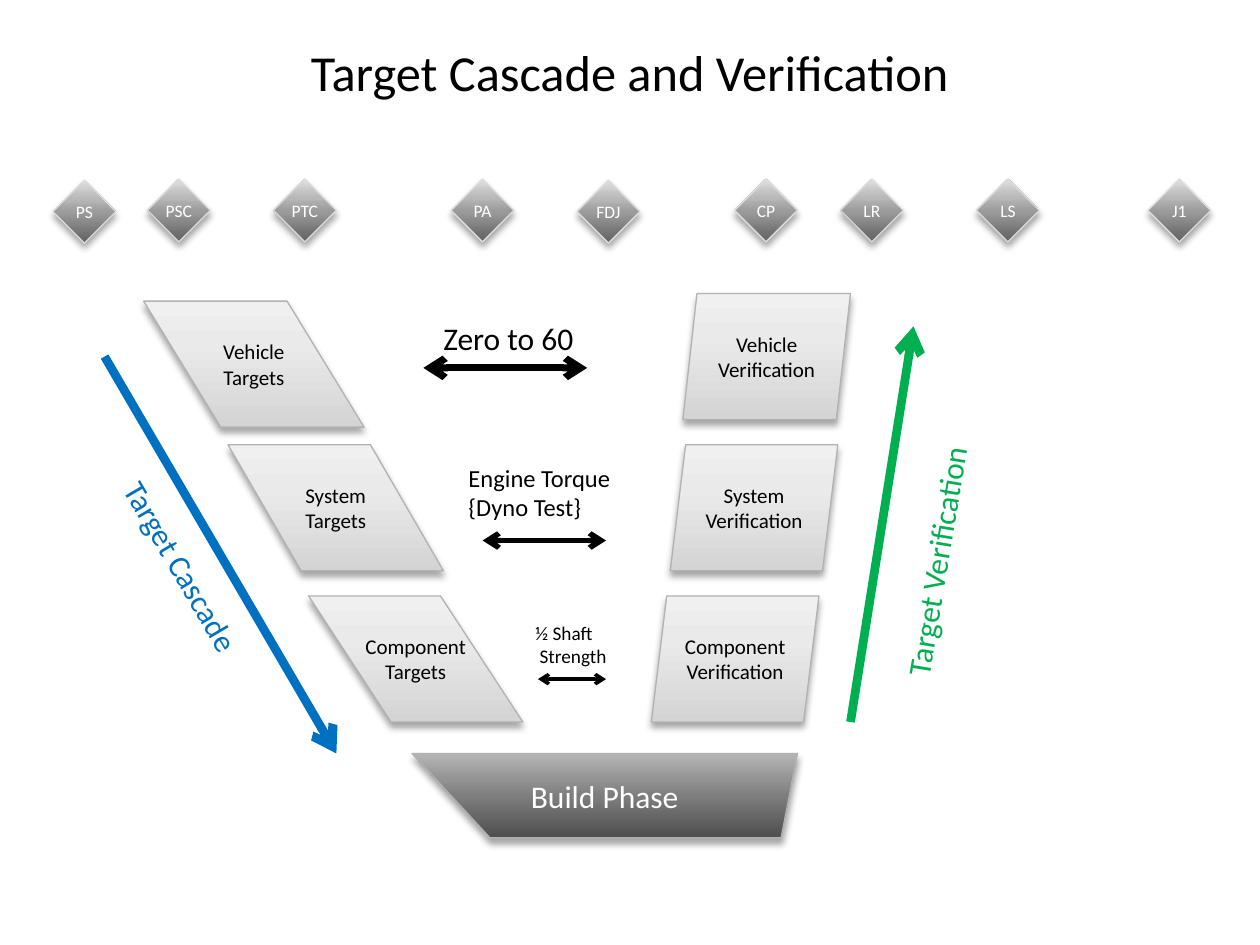
"""Build the target cascade and verification slide."""
import pptx
import pptx.dml.color
import pptx.enum.shapes
import pptx.enum.text
import pptx.oxml.ns
import pptx.util
from lxml import etree

Inches = pptx.util.Inches
Pt = pptx.util.Pt
RGBColor = pptx.dml.color.RGBColor
Shape = pptx.enum.shapes.MSO_SHAPE
Align = pptx.enum.text.PP_ALIGN
qn = pptx.oxml.ns.qn

FONT = "Calibri"
BLACK = RGBColor(0x00, 0x00, 0x00)
WHITE = RGBColor(0xFF, 0xFF, 0xFF)
BLUE = RGBColor(0x00, 0x70, 0xC0)
GREEN = RGBColor(0x00, 0xB0, 0x50)
SILVER = RGBColor(0xDD, 0xDD, 0xDD)
GRAY = RGBColor(0xB2, 0xB2, 0xB2)

GATE_STOPS = [(0, RGBColor(0x61, 0x61, 0x61)), (50, RGBColor(0x9C, 0x9C, 0x9C)),
              (70, RGBColor(0xB8, 0xB8, 0xB8)), (100, RGBColor(0xDF, 0xDF, 0xDF))]
STEP_STOPS = [(0, RGBColor(0xD4, 0xD4, 0xD4)), (65, RGBColor(0xEA, 0xEA, 0xEA)),
              (100, RGBColor(0xF0, 0xF0, 0xF0))]
BUILD_STOPS = [(0, RGBColor(0x4E, 0x4E, 0x4E)), (50, RGBColor(0x7E, 0x7E, 0x7E)),
               (70, RGBColor(0x94, 0x94, 0x94)), (100, RGBColor(0xB6, 0xB6, 0xB6))]

TITLE = "Target Cascade and Verification"
GATE_SIZE = 0.5
GATES = [("PS", 0.42, 1.43), ("PSC", 1.17, 1.42), ("PTC", 2.17, 1.42),
         ("PA", 3.58, 1.42), ("FDJ", 4.58, 1.43), ("CP", 5.83, 1.42),
         ("LR", 6.67, 1.42), ("LS", 7.75, 1.42), ("J1", 9.11, 1.42)]
STEP_HEIGHT = 1
TIGHT = (0, 0.05)
ROOMY = (0.1, 0.05)
TARGETS = [("Vehicle", 1.14, 2.39, 1.75, 0.612, ROOMY),
           ("System", 1.81, 3.53, 1.71, 0.58, ROOMY),
           ("Component", 2.45, 4.73, 1.7, 0.654, TIGHT)]
VERIFICATIONS = [("Vehicle", 5.42, 2.33, 1.33, 0.112, TIGHT),
                 ("System", 5.32, 3.53, 1.33, 0.122, TIGHT),
                 ("Component", 5.17, 4.73, 1.33, 0.122, TIGHT)]
BUILD_OUTLINE = [(3.27, 5.98), (6.33, 5.98), (6.2, 6.65), (3.89, 6.65)]
LABELS = [(["½ Shaft", " Strength"], (4.15, 4.88, 0.77, 0.47), 11, BLACK, 0),
          (["Engine Torque", "{Dyno Test}"], (3.62, 3.62, 1.34, 0.57), 14, BLACK, 0),
          (["Zero to 60"], (3.42, 2.48, 1.25, 0.4), 18, BLACK, 0),
          (["Target Cascade"], (0.58, 4.3, 1.73, 0.4), 18, BLUE, 59.6),
          (["Target Verification"], (6.4, 4.24, 2.06, 0.4), 18, GREEN, 279.3)]
ARROWS = [((4.27, 5.39), (4.81, 5.39), 2, BLACK, ("headEnd", "tailEnd")),
          ((3.83, 4.29), (4.81, 4.29), 3, BLACK, ("headEnd", "tailEnd")),
          ((3.36, 2.92), (4.66, 2.92), 4, BLACK, ("headEnd", "tailEnd")),
          ((0.83, 2.83), (2.67, 5.98), 5, BLUE, ("tailEnd",)),
          ((6.75, 5.73), (7.25, 2.59), 5, GREEN, ("tailEnd",))]


def write(shape, lines, size, color, align=Align.CENTER, insets=ROOMY, wrap=True):
    frame = shape.text_frame
    frame.word_wrap = wrap
    frame.vertical_anchor = pptx.enum.text.MSO_ANCHOR.MIDDLE
    frame.margin_left = frame.margin_right = Inches(insets[0])
    frame.margin_top = frame.margin_bottom = Inches(insets[1])
    frame.text = "\n".join(lines)
    for para in frame.paragraphs:
        para.alignment = align
        para.font.name = FONT
        para.font.size = Pt(size)
        para.font.color.rgb = color


def decorate(shape, stops, line_color):
    shape.fill.gradient()
    shape.fill.gradient_angle = 90
    properties = shape._element.spPr
    stop_list = properties.find(qn("a:gradFill")).find(qn("a:gsLst"))
    for stop in list(stop_list):
        stop_list.remove(stop)
    for position, color in stops:
        stop = etree.SubElement(stop_list, qn("a:gs"), pos=str(position * 1000))
        etree.SubElement(stop, qn("a:srgbClr"), val=str(color))
    shape.line.color.rgb = line_color
    shape.line.width = Pt(0.75)
    shape.shadow.inherit = False
    shadow = etree.SubElement(properties.find(qn("a:effectLst")), qn("a:outerShdw"),
                              blurRad=str(Pt(4)), dist=str(Pt(3)),
                              dir="5400000", rotWithShape="0")
    tint = etree.SubElement(shadow, qn("a:srgbClr"), val=str(BLACK))
    etree.SubElement(tint, qn("a:alpha"), val="35000")


def add_step(shapes, step, kind, flipped):
    name, left, top, width, slant, insets = step
    box = shapes.add_shape(Shape.PARALLELOGRAM, Inches(left), Inches(top),
                           Inches(width), Inches(STEP_HEIGHT))
    box.adjustments[0] = slant
    if flipped:
        box._element.spPr.find(qn("a:xfrm")).set("flipH", "1")
    decorate(box, STEP_STOPS, GRAY)
    write(box, [name, kind], 12, BLACK, insets=insets)


def add_arrow(shapes, start, end, width, color, ends):
    arrow = shapes.add_connector(pptx.enum.shapes.MSO_CONNECTOR.STRAIGHT,
                                 *map(Inches, start + end))
    arrow.line.color.rgb = color
    arrow.line.width = Pt(width)
    line = arrow.line._get_or_add_ln()
    for end_name in ends:
        etree.SubElement(line, qn("a:" + end_name), type="arrow")
    etree.SubElement(arrow._element.spPr, qn("a:effectLst"))


def main():
    deck = pptx.Presentation()
    deck.slide_width, deck.slide_height = Inches(10), Inches(7.5)
    shapes = deck.slides.add_slide(deck.slide_layouts[6]).shapes

    title = shapes.add_textbox(Inches(0.5), Inches(0.3), Inches(9), Inches(0.53))
    write(title, [TITLE], 28.8, BLACK)

    for name, left, top in GATES:
        gate = shapes.add_shape(Shape.DIAMOND, Inches(left), Inches(top),
                                Inches(GATE_SIZE), Inches(GATE_SIZE))
        decorate(gate, GATE_STOPS, SILVER)
        write(gate, [name], 10, WHITE, insets=(0, 0))

    for step in TARGETS:
        add_step(shapes, step, "Targets", True)
    for step in VERIFICATIONS:
        add_step(shapes, step, "Verification", False)

    corners = [(Inches(x), Inches(y)) for x, y in BUILD_OUTLINE]
    builder = shapes.build_freeform(*corners[0])
    builder.add_line_segments(corners[1:], close=True)
    build_phase = builder.convert_to_shape()
    decorate(build_phase, BUILD_STOPS, GRAY)
    write(build_phase, ["Build Phase"], 18, WHITE)

    for arrow in ARROWS:
        add_arrow(shapes, *arrow)

    for lines, place, size, color, angle in LABELS:
        label = shapes.add_textbox(*map(Inches, place))
        write(label, lines, size, color, align=Align.LEFT, wrap=False)
        label.text_frame.auto_size = pptx.enum.text.MSO_AUTO_SIZE.SHAPE_TO_FIT_TEXT
        label.rotation = angle

    deck.save("out.pptx")


if __name__ == "__main__":
    main()
